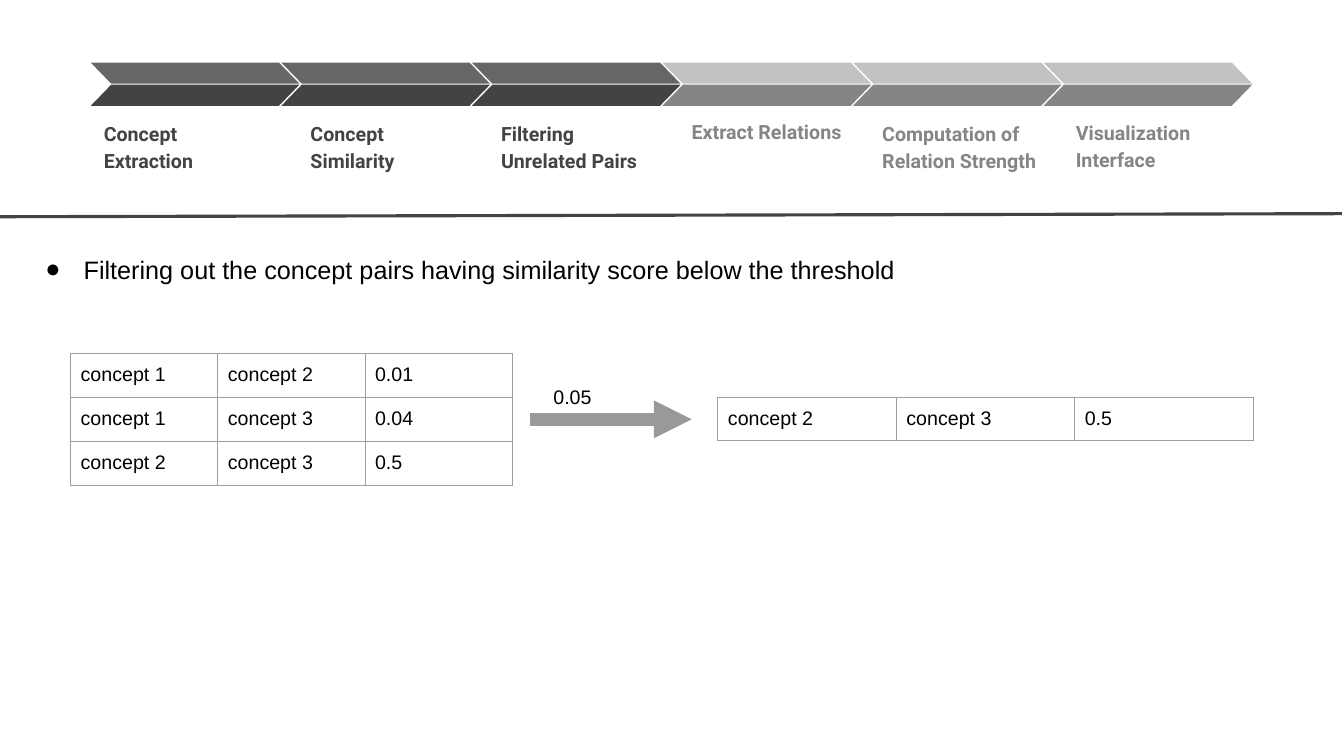
from lxml.etree import SubElement
from pptx import Presentation
from pptx.dml.color import RGBColor
from pptx.enum.shapes import MSO_CONNECTOR, MSO_SHAPE
from pptx.enum.text import MSO_ANCHOR, MSO_AUTO_SIZE
from pptx.oxml.ns import qn
from pptx.util import Inches, Pt

DARK, DARK_TOP = "434343", "666666"
PALE, PALE_TOP = "858585", "C2C2C2"
BLACK = "000000"

STEPS = [
    ("Concept Extraction", True, 0, 1.86, 0.65),
    ("Concept Similarity", True, 0.16, 1.7, 0.65),
    ("Filtering Unrelated Pairs", True, 0.16, 1.7, 0.65),
    ("Extract Relations", False, 0.16, 1.91, 0.36),
    ("Computation of Relation Strength", False, 0.16, 1.91, 0.65),
    ("Visualization Interface", False, 0.19, 1.7, 0.64),
]
ALL_PAIRS = [
    ("concept 1", "concept 2", "0.01"),
    ("concept 1", "concept 3", "0.04"),
    ("concept 2", "concept 3", "0.5"),
]
KEPT_PAIRS = ALL_PAIRS[2:]


def color(value):
    return RGBColor.from_string(value)


def set_margins(target, inset):
    target.margin_left = target.margin_right = Inches(inset)
    target.margin_top = target.margin_bottom = Inches(inset)


def write(frame, text, size, font="Arial", ink=BLACK, bold=False):
    frame.text = text
    para = frame.paragraphs[0]
    for span in para.runs:
        span.font.name = font
        span.font.size = Pt(size)
        span.font.bold = bold
        span.font.color.rgb = color(ink)
    return para


def add_text(shapes, text, left, top, width, height, inset, **style):
    box = shapes.add_textbox(Inches(left), Inches(top), Inches(width), Inches(height))
    frame = box.text_frame
    frame.word_wrap = True
    set_margins(frame, inset)
    write(frame, text, 14, **style)
    return frame


def add_line(page, start, end, ink, weight):
    line = page.shapes.add_connector(
        MSO_CONNECTOR.STRAIGHT, *[Inches(value) for value in (*start, *end)]
    )
    line.line.color.rgb = color(ink)
    line.line.width = Pt(weight)
    SubElement(line._element.spPr, qn("a:effectLst"))
    return line


def add_bar(group, left, top, fill, flipped):
    bar = group.shapes.add_shape(
        MSO_SHAPE.PARALLELOGRAM, Inches(left), Inches(top), Inches(2.07), Inches(0.21)
    )
    bar.adjustments[0] = 0.97
    bar.shadow.inherit = False
    bar.fill.solid()
    bar.fill.fore_color.rgb = color(fill)
    bar.line.fill.background()
    if flipped:
        bar._element.spPr.find(qn("a:xfrm")).set("flipH", "1")


def add_progress(page, left, top, pitch):
    for index, (label, done, offset, width, height) in enumerate(STEPS):
        group = page.shapes.add_group_shape()
        step_left = left + index * pitch
        add_bar(group, step_left, top, DARK_TOP if done else PALE_TOP, True)
        add_bar(group, step_left, top + 0.22, DARK if done else PALE, False)
        frame = add_text(
            group.shapes, label, step_left + offset, top + 0.57, width, height, 0.13,
            font="Roboto", ink=DARK if done else PALE, bold=True,
        )
        frame.vertical_anchor = MSO_ANCHOR.BOTTOM
        frame.paragraphs[0].line_spacing = 1.15


def fill_body(body, text, left, top, width, height):
    body.left, body.top = Inches(left), Inches(top)
    body.width, body.height = Inches(width), Inches(height)
    frame = body.text_frame
    frame.auto_size = MSO_AUTO_SIZE.NONE
    frame.vertical_anchor = MSO_ANCHOR.TOP
    set_margins(frame, 0.1)
    para = write(frame, text, 18)
    para.space_before = Pt(0)
    properties = para._p.get_or_add_pPr()
    properties.set("marL", str(Inches(0.5)))
    properties.set("indent", str(Inches(-0.38)))
    bullet_color = SubElement(properties, qn("a:buClr"))
    SubElement(bullet_color, qn("a:srgbClr"), val=BLACK)
    SubElement(properties, qn("a:buFont"), typeface="Arial")
    SubElement(properties, qn("a:buChar"), char="●")


def add_borders(cell, ink, weight):
    properties = cell._tc.get_or_add_tcPr()
    for side in ("a:lnL", "a:lnR", "a:lnT", "a:lnB"):
        border = SubElement(properties, qn(side), w=str(Pt(weight)))
        solid = SubElement(border, qn("a:solidFill"))
        SubElement(solid, qn("a:srgbClr"), val=ink)


def add_pairs(page, rows, left, top, column_width, row_height=0.42):
    count = len(rows[0])
    table = page.shapes.add_table(
        len(rows), count, Inches(left), Inches(top),
        Inches(column_width * count), Inches(row_height * len(rows)),
    ).table
    table.first_row = table.horz_banding = False
    for row_index, row in enumerate(rows):
        for column_index, text in enumerate(row):
            cell = table.cell(row_index, column_index)
            set_margins(cell, 0.1)
            write(cell.text_frame, text, 14)
            add_borders(cell, "9E9E9E", 0.75)
            cell.fill.background()


def add_threshold(page, left, middle, length):
    arrow = add_line(page, (left, middle), (left + length, middle), "999999", 9)
    outline = arrow.line._get_or_add_ln()
    SubElement(outline, qn("a:tailEnd"), type="triangle")
    add_text(page.shapes, "0.05", left + 0.13, middle - 0.44, 0.92, 0.23, 0.1)


def main():
    deck = Presentation()
    deck.slide_width, deck.slide_height = Inches(13.33), Inches(7.5)
    page = deck.slides.add_slide(deck.slide_layouts[1])
    title = page.shapes.title._element
    title.getparent().remove(title)
    add_progress(page, 0.9, 0.62, 1.89)
    add_line(page, (0, 2.15), (13.31, 2.12), DARK, 2.25)
    fill_body(
        page.placeholders[1],
        "Filtering out the concept pairs having similarity score below the threshold",
        0.23, 2.42, 12.87, 4.91,
    )
    add_pairs(page, ALL_PAIRS, 0.7, 3.51, 1.46)
    add_pairs(page, KEPT_PAIRS, 7.12, 3.94, 1.77)
    add_threshold(page, 5.26, 4.16, 1.6)
    deck.save("out.pptx")


if __name__ == "__main__":
    main()
